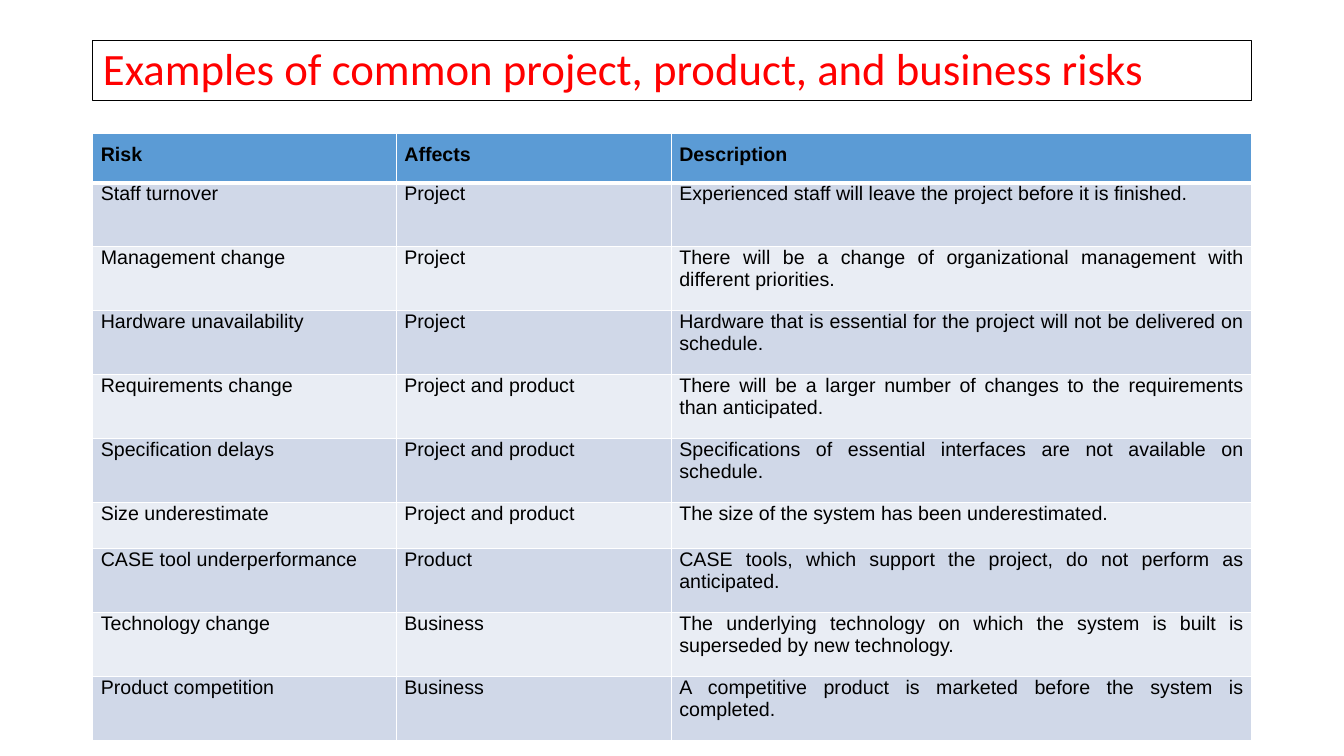
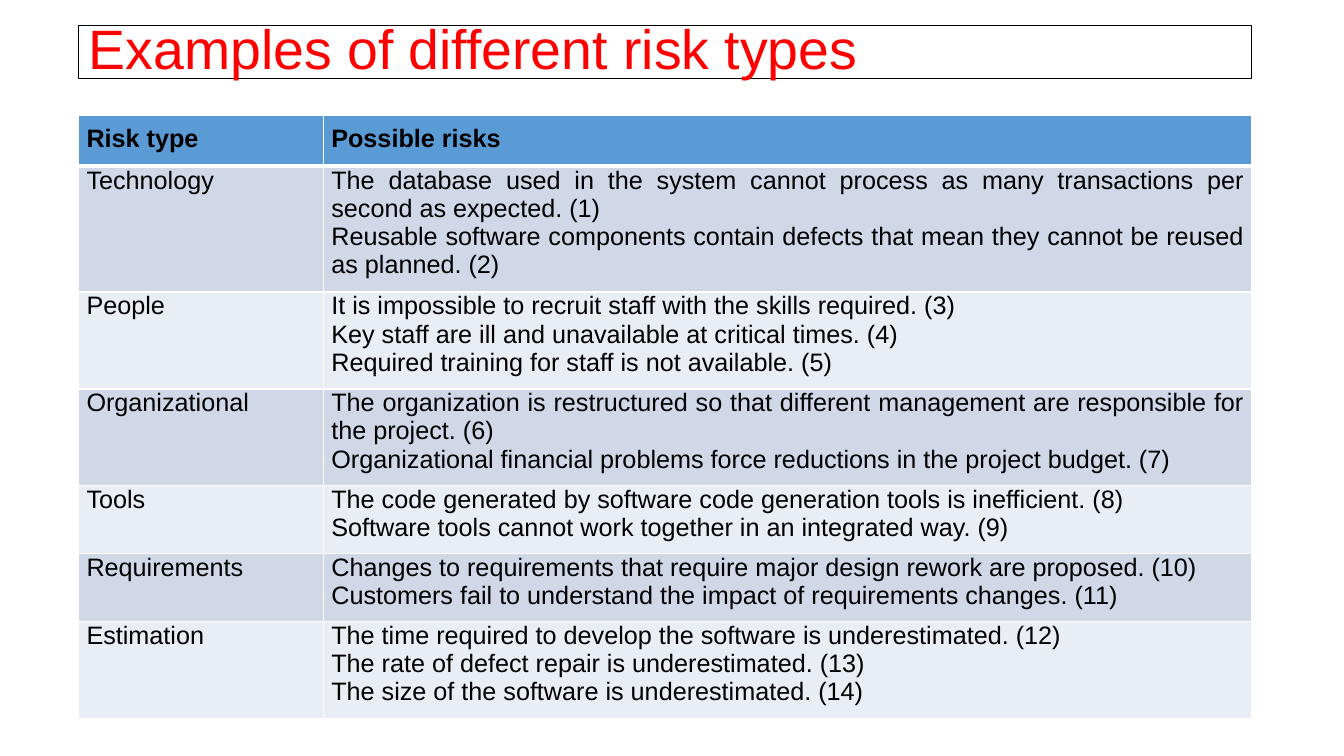
from lxml.etree import SubElement
from pptx import Presentation
from pptx.dml.color import RGBColor
from pptx.enum.text import MSO_ANCHOR, MSO_AUTO_SIZE, PP_ALIGN as Align
from pptx.oxml.ns import qn
from pptx.util import Cm, Pt

RED = RGBColor(0xFF, 0x00, 0x00)
BLACK = RGBColor(0x00, 0x00, 0x00)
WHITE = RGBColor(0xFF, 0xFF, 0xFF)
BLUE = RGBColor(0x5B, 0x9B, 0xD5)
BANDS = (RGBColor(0xD0, 0xD8, 0xE8), RGBColor(0xE9, 0xED, 0xF4))
FONT = "Arial"
THIN, THICK = Pt(1), Pt(3)

COMMON = [
    ("Risk", "Affects", "Description"),
    ("Staff turnover", "Project",
     "Experienced staff will leave the project before it is finished."),
    ("Management change", "Project",
     "There will be a change of organizational management with different priorities."),
    ("Hardware unavailability", "Project",
     "Hardware that is essential for the project will not be delivered on schedule."),
    ("Requirements change", "Project and product",
     "There will be a larger number of changes to the requirements than anticipated."),
    ("Specification delays", "Project and product",
     "Specifications of essential interfaces are not available on schedule."),
    ("Size underestimate", "Project and product",
     "The size of the system has been underestimated."),
    ("CASE tool underperformance", "Product",
     "CASE tools, which support the project, do not perform as anticipated."),
    ("Technology change", "Business",
     "The underlying technology on which the system is built is superseded by new technology."),
    ("Product competition", "Business",
     "A competitive product is marketed before the system is completed."),
]

# Each line of a cell is a paragraph of its own.
TYPES = [
    ("Risk type", "Possible risks"),
    ("Technology",
     "The database used in the system cannot process as many transactions per second"
     " as expected. (1)\n"
     "Reusable software components contain defects that mean they cannot be reused"
     " as planned. (2)"),
    ("People",
     "It is impossible to recruit staff with the skills required. (3)\n"
     "Key staff are ill and unavailable at critical times. (4)\n"
     "Required training for staff is not available. (5)"),
    ("Organizational",
     "The organization is restructured so that different management are responsible"
     " for the project. (6)\n"
     "Organizational financial problems force reductions in the project budget. (7)"),
    ("Tools",
     "The code generated by software code generation tools is inefficient. (8)\n"
     "Software tools cannot work together in an integrated way. (9)"),
    ("Requirements",
     "Changes to requirements that require major design rework are proposed. (10)\n"
     "Customers fail to understand the impact of requirements changes. (11)"),
    ("Estimation",
     "The time required to develop the software is underestimated. (12)\n"
     "The rate of defect repair is underestimated. (13)\n"
     "The size of the software is underestimated. (14)"),
]


def add_run(para, text, font, size, color, bold=False):
    run = para.add_run()
    run.text = text
    run.font.name = font
    run.font.size = Pt(size)
    run.font.bold = bold
    run.font.color.rgb = color


def set_title(slide, text, box, font, size):
    title = slide.shapes.title
    title.left, title.top, title.width, title.height = map(Cm, box)
    title.line.color.rgb = BLACK
    title.line.width = Pt(0.75)
    frame = title.text_frame
    frame.word_wrap = True
    frame.auto_size = MSO_AUTO_SIZE.NONE
    frame.vertical_anchor = MSO_ANCHOR.MIDDLE
    para = frame.paragraphs[0]
    para.alignment = Align.LEFT
    para.line_spacing = 0.9
    add_run(para, text, font, size, RED)


def set_edges(cell, top, bottom):
    """Draw white borders; the side ones are always thin."""
    props = cell._tc.get_or_add_tcPr()
    for tag, width in (("lnL", THIN), ("lnR", THIN), ("lnT", top), ("lnB", bottom)):
        edge = SubElement(props, qn(f"a:{tag}"), w=str(width))
        fill = SubElement(edge, qn("a:solidFill"))
        SubElement(fill, qn("a:srgbClr"), val=str(WHITE))


def fill_cell(cell, text, row, align, size):
    head = row == 0
    set_edges(cell, THICK if row == 1 else THIN, THICK if head else THIN)
    cell.fill.solid()
    cell.fill.fore_color.rgb = BLUE if head else BANDS[(row - 1) % 2]
    cell.margin_left = cell.margin_right = Cm(0.2)
    cell.margin_top = Cm(0.25 if head else 0)
    cell.margin_bottom = Cm(0.25)
    frame = cell.text_frame
    for index, line in enumerate(text.split("\n")):
        para = frame.add_paragraph() if index else frame.paragraphs[0]
        para.alignment = Align.JUSTIFY if head else align
        add_run(para, line, FONT, size, BLACK, head)


def add_grid(slide, data, left, top, widths, heights, aligns, size):
    table = slide.shapes.add_table(
        len(data), len(widths), Cm(left), Cm(top),
        Cm(sum(widths)), Cm(sum(heights))).table
    for col, width in zip(table.columns, widths):
        col.width = Cm(width)
    for row, height in zip(table.rows, heights):
        row.height = Cm(height)
    for row, texts in enumerate(data):
        for col, text in enumerate(texts):
            fill_cell(table.cell(row, col), text, row, aligns[col], size)


def main():
    deck = Presentation()
    deck.slide_width, deck.slide_height = Cm(33.87), Cm(19.05)
    layout = deck.slide_layouts[5]

    slide = deck.slides.add_slide(layout)
    set_title(slide, "Examples of common project, product, and business risks",
              (2.34, 1.02, 29.21, 1.52), "Calibri", 32)
    add_grid(slide, COMMON, 2.34, 3.36, (7.65, 6.93, 14.63),
             [1.25] + [1.61] * 5 + [1.16] + [1.61] * 3,
             (Align.LEFT, Align.LEFT, Align.JUSTIFY), 14)

    slide = deck.slides.add_slide(layout)
    set_title(slide, "Examples of different risk types",
              (1.98, 0.65, 29.57, 1.32), FONT, 39.6)
    add_grid(slide, TYPES, 1.98, 2.9, (6.17, 23.4),
             (1.29, 3.17, 2.44, 2.44, 1.71, 1.71, 2.44),
             (Align.JUSTIFY, Align.JUSTIFY), 18)

    deck.save("out.pptx")


if __name__ == "__main__":
    main()
